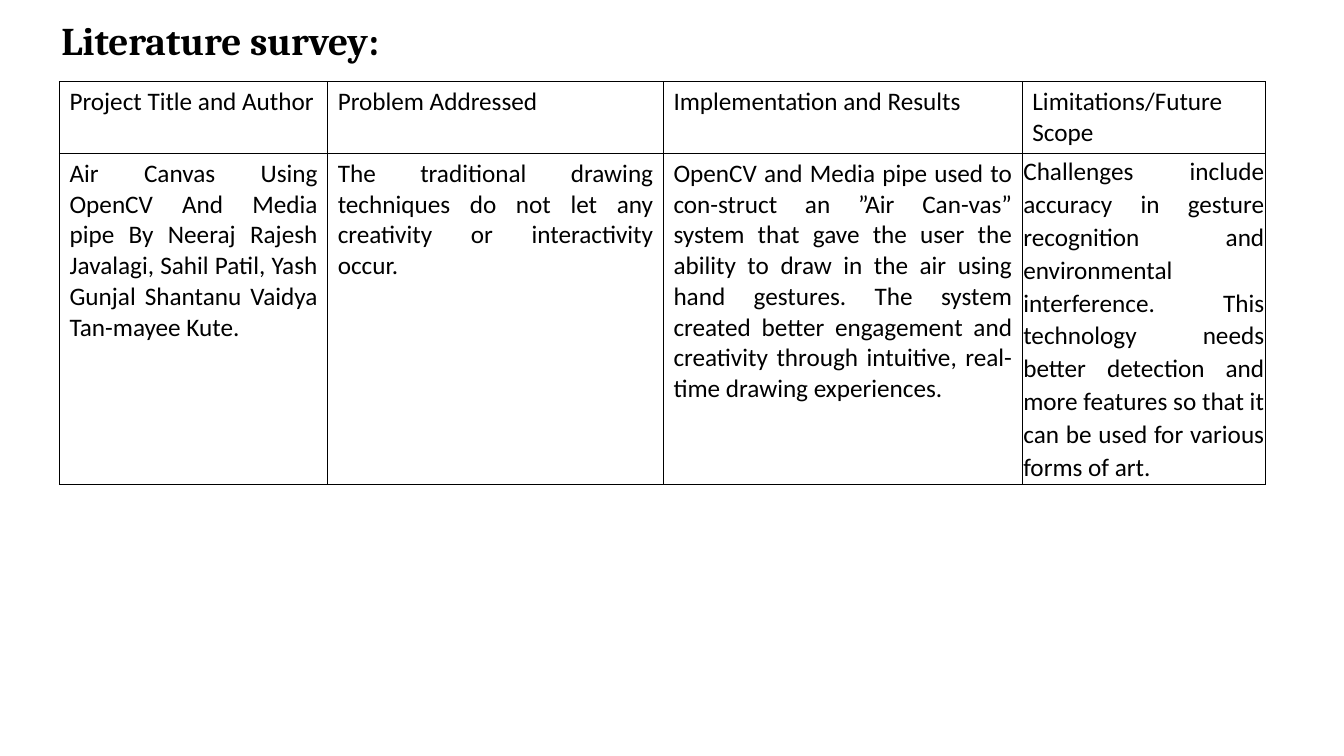
from lxml.etree import SubElement as Sub
from pptx import Presentation
from pptx.dml.color import RGBColor as RGB
from pptx.enum.text import MSO_ANCHOR as Anchor, MSO_AUTO_SIZE as Auto, PP_ALIGN as Align
from pptx.oxml.ns import qn
from pptx.util import Inches, Pt


def color(code):
    return RGB.from_string(code)


def write(frame, text, size=18, font="Calibri", bold=False, align=Align.LEFT):
    para = frame.paragraphs[0]
    para.alignment = align
    run = para.add_run()
    run.text = text
    run.font.size = Pt(size)
    run.font.name = font
    run.font.bold = bold
    run.font.color.rgb = color("000000")
    return para


deck = Presentation()
deck.slide_width = Inches(13.33)
deck.slide_height = Inches(7.5)
slide = deck.slides.add_slide(deck.slide_layouts[6])

rows = [
    ["Project Title and Author", "Problem Addressed",
     "Implementation and Results", "Limitations/Future Scope"],
    ["Air Canvas Using OpenCV And Media pipe By Neeraj Rajesh Javalagi, "
     "Sahil Patil, Yash Gunjal Shantanu Vaidya Tan-mayee Kute.",
     "The traditional drawing techniques do not let any creativity or "
     "interactivity occur.",
     "OpenCV and Media pipe used to con-struct an ”Air Can-vas” system that "
     "gave the user the ability to draw in the air using hand gestures. The "
     "system created better engagement and creativity through intuitive, "
     "real-time drawing experiences.",
     "Challenges include accuracy in gesture recognition and environmental "
     "interference. This technology needs better detection and more features "
     "so that it can be used for various forms of art."],
]
widths = [2.66, 3.33, 3.56, 2.41]
heights = [0.7, 3.22]

table = slide.shapes.add_table(
    len(rows), len(widths), Inches(0.59), Inches(0.81),
    Inches(sum(widths)), Inches(sum(heights))).table
table.first_row = False
table.horz_banding = False
for col, width in zip(table.columns, widths):
    col.width = Inches(width)
for row, height in zip(table.rows, heights):
    row.height = Inches(height)

for r, texts in enumerate(rows):
    for c, text in enumerate(texts):
        cell = table.cell(r, c)
        para = write(cell.text_frame, text,
                     align=Align.JUSTIFY if r else Align.LEFT)
        if r == 1 and c == 3:
            para.line_spacing = 1.07
            para.space_after = Pt(8)
            cell.vertical_anchor = Anchor.MIDDLE
            cell.margin_left = cell.margin_right = Inches(0.01)
            cell.margin_top = cell.margin_bottom = Inches(0.01)
        props = cell._tc.get_or_add_tcPr()
        for side in ("a:lnL", "a:lnR", "a:lnT", "a:lnB"):
            line = Sub(props, qn(side), w=str(Pt(1)))
            fill = Sub(line, qn("a:solidFill"))
            Sub(fill, qn("a:srgbClr"), val="000000")
        cell.fill.background()

title = slide.shapes.add_textbox(
    Inches(0.51), Inches(0.11), Inches(3.64), Inches(0.57)).text_frame
title.word_wrap = True
title.auto_size = Auto.SHAPE_TO_FIT_TEXT
write(title, "Literature survey:", size=28, font="Cambria", bold=True)

deck.save("out.pptx")
